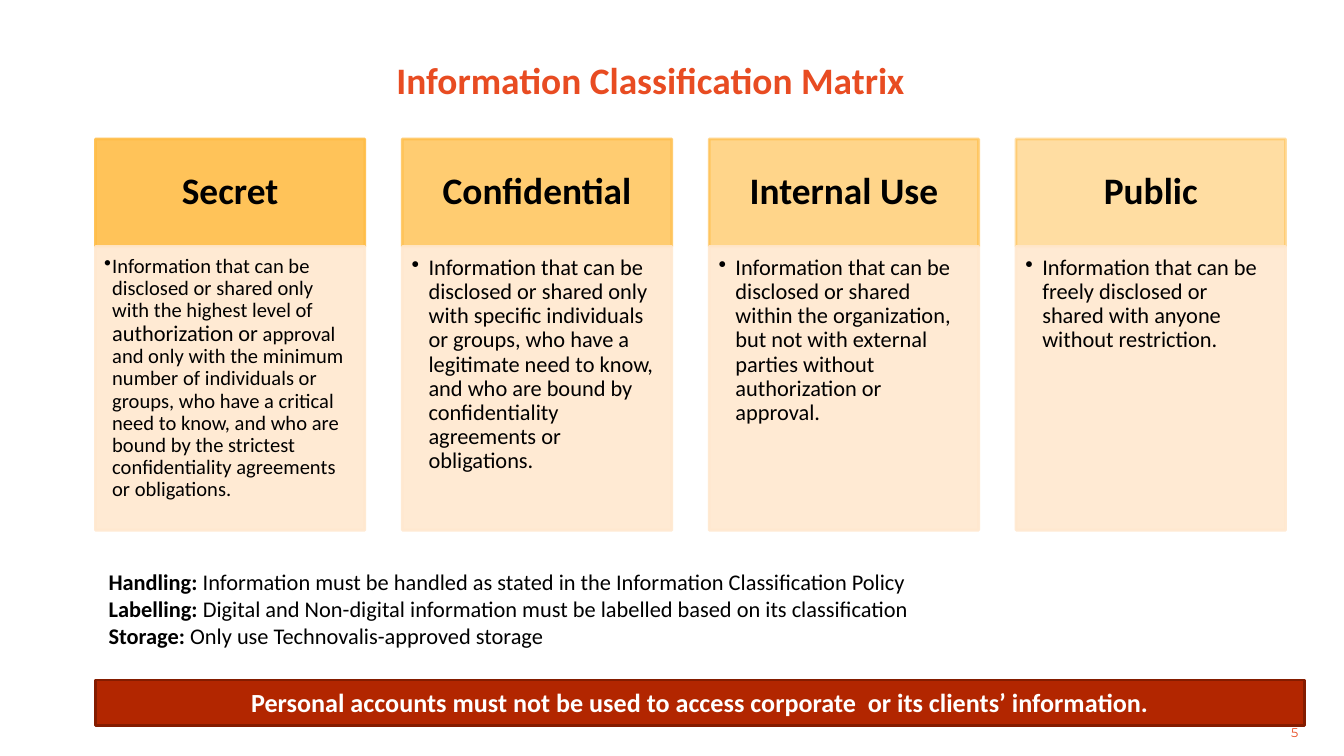
import dataclasses

import pptx
import pptx.dml.color
import pptx.enum.shapes
import pptx.enum.text
import pptx.oxml
import pptx.oxml.ns
import pptx.util

EMU_PER_PX = 4572
ALIGN = pptx.enum.text.PP_ALIGN
ANCHOR = pptx.enum.text.MSO_ANCHOR


@dataclasses.dataclass(frozen=True)
class Theme:
    """Colours, fonts and type sizes of the slide."""
    accent: str = "E84C22"
    header: str = "FFBD47"
    body: str = "FFE8CF"
    banner: str = "B22600"
    banner_line: str = "841C00"
    ink: str = "000000"
    white: str = "FFFFFF"
    font: str = "Calibri"
    number_font: str = "Montserrat"
    heading_size: float = 20
    banner_size: float = 14
    text_size: float = 12
    small_size: float = 11
    number_size: float = 6.8
    line_width: float = 1.5


THEME = Theme()

LEVELS = [
    ("Secret", 90, [
        ("Information that can be disclosed or shared only with the highest level of ", {}),
        ("authorization", {"size": THEME.text_size}),
        (" ", {}),
        ("or", {"size": THEME.text_size}),
        (" approval and only with the minimum number of individuals or groups, who have a "
         "critical need to know, and who are bound by the strictest confidentiality "
         "agreements or obligations.", {}),
    ], {"size": THEME.small_size, "indent": 12, "insets": (13, 13, 18, 20)}),
    ("Confidential", 77, [
        ("Information that can be disclosed or shared only with specific individuals or "
         "groups, who have a legitimate need to know, and who are bound by confidentiality "
         "agreements or obligations.", {}),
    ], {}),
    ("Internal Use", 63, [
        ("Information that can be disclosed or shared within the organization, but not with "
         "external parties without authorization or approval.", {}),
    ], {}),
    ("Public", 50, [
        ("Information that can be freely disclosed or shared with anyone without "
         "restriction.", {}),
    ], {}),
]

RULES = [
    ("Handling: ", "Information must be handled as stated in the Information Classification Policy"),
    ("Labelling: ", "Digital and Non-digital information must be labelled based on its classification"),
    ("Storage: ", "Only use Technovalis-approved storage"),
]


def px(length):
    """Turn px into EMU."""
    return pptx.util.Emu(round(length * EMU_PER_PX))


def rgb(colour):
    """Turn a hex string into a colour."""
    return pptx.dml.color.RGBColor.from_string(colour)


def add_bullet(paragraph, indent):
    """Give a paragraph a round bullet with a hanging indent."""
    properties = paragraph._p.get_or_add_pPr()
    properties.set("marL", str(px(indent)))
    properties.set("indent", str(-px(indent)))
    bullet = pptx.oxml.parse_xml(f'<a:buChar {pptx.oxml.ns.nsdecls("a")} char="•"/>')
    properties.append(bullet)


def write_text(shape, paragraphs, *, size=THEME.text_size, colour=THEME.ink, bold=False,
               font=THEME.font, align=ALIGN.LEFT, anchor=ANCHOR.TOP, spacing=None,
               indent=0, insets=(20, 10, 20, 10)):
    """Fill a shape with paragraphs, each a list of (text, overrides) runs."""
    frame = shape.text_frame
    frame.word_wrap = True
    frame.auto_size = pptx.enum.text.MSO_AUTO_SIZE.NONE
    frame.vertical_anchor = anchor
    frame.margin_left, frame.margin_top, frame.margin_right, frame.margin_bottom = map(px, insets)
    for index, runs in enumerate(paragraphs):
        paragraph = frame.add_paragraph() if index else frame.paragraphs[0]
        paragraph.alignment = align
        if spacing:
            paragraph.line_spacing = spacing
        if indent:
            add_bullet(paragraph, indent)
        for text, overrides in runs:
            run = paragraph.add_run()
            run.text = text
            run.font.name = font
            run.font.size = pptx.util.Pt(overrides.get("size", size))
            run.font.bold = overrides.get("bold", bold)
            run.font.color.rgb = rgb(colour)


def add_text_box(slide, box, paragraphs, **text_format):
    """Add a text box with formatted text."""
    write_text(slide.shapes.add_textbox(*map(px, box)), paragraphs, **text_format)


def add_panel(slide, box, fill, line, opacity=100):
    """Add a filled, outlined rectangle."""
    shape = slide.shapes.add_shape(pptx.enum.shapes.MSO_SHAPE.RECTANGLE, *map(px, box))
    shape.shadow.inherit = False
    shape.fill.solid()
    shape.fill.fore_color.rgb = rgb(fill)
    shape.line.color.rgb = rgb(line)
    shape.line.width = pptx.util.Pt(THEME.line_width)
    if opacity < 100:
        for colour in shape._element.spPr.iter(pptx.oxml.ns.qn("a:srgbClr")):
            colour.append(pptx.oxml.parse_xml(
                f'<a:alpha {pptx.oxml.ns.nsdecls("a")} val="{opacity * 1000}"/>'))
    return shape


def build_title(slide, box, text):
    """Place and format the slide title."""
    title = slide.shapes.title
    title.left, title.top, title.width, title.height = map(px, box)
    write_text(title, [[(text, {})]], size=THEME.heading_size, colour=THEME.accent, bold=True,
               align=ALIGN.CENTER, spacing=0.98, insets=(0, 0, 0, 0))


def build_column(slide, box, name, opacity, runs, text_format):
    """Draw one classification level: header above description."""
    left, top, width, height = box
    header_height = 160
    header = add_panel(slide, (left, top, width, header_height),
                       THEME.header, THEME.header, opacity)
    write_text(header, [[(name, {})]], size=THEME.heading_size, bold=True, align=ALIGN.CENTER,
               anchor=ANCHOR.MIDDLE, spacing=0.9, insets=(32, 18, 32, 18))
    body = add_panel(slide, (left, top + header_height, width, height - header_height),
                     THEME.body, THEME.body, 90)
    body_format = {"indent": 25, "insets": (14, 14, 18, 20), **text_format}
    write_text(body, [runs], spacing=0.9, **body_format)


def build_matrix(slide, box):
    """Spread the classification levels evenly over the box."""
    left, top, width, height = box
    column_width = 401
    step = (width - column_width) / (len(LEVELS) - 1)
    for index, level in enumerate(LEVELS):
        build_column(slide, (left + index * step, top, column_width, height), *level)


def build_rules(slide, box):
    """List the handling rules with bold lead words."""
    paragraphs = [[(lead, {"bold": True}), (text, {})] for lead, text in RULES]
    add_text_box(slide, box, paragraphs, align=ALIGN.JUSTIFY)


def build_banner(slide, box, text):
    """Draw the warning bar."""
    banner = add_panel(slide, box, THEME.banner, THEME.banner_line)
    write_text(banner, [[(text, {})]], size=THEME.banner_size, colour=THEME.white, bold=True,
               align=ALIGN.CENTER)


def build_number(slide, box, text):
    """Place the slide number."""
    add_text_box(slide, box, [[(text, {})]], size=THEME.number_size, colour=THEME.accent,
                 font=THEME.number_font, align=ALIGN.RIGHT, anchor=ANCHOR.MIDDLE)


def main():
    """Build and save the presentation."""
    presentation = pptx.Presentation()
    presentation.slide_width, presentation.slide_height = px(2000), px(1125)
    slide = presentation.slides.add_slide(presentation.slide_layouts.get_by_name("Title Only"))
    build_title(slide, (234, 88, 1468, 66), "Information Classification Matrix")
    build_number(slide, (1718, 1070, 234, 40), "5")
    build_matrix(slide, (142, 207, 1771, 582))
    build_rules(slide, (142, 836, 1772, 142))
    build_banner(slide, (142, 1012, 1800, 68),
                 "Personal accounts must not be used to access corporate  or its clients’ information.")
    presentation.save("out.pptx")


if __name__ == "__main__":
    main()
